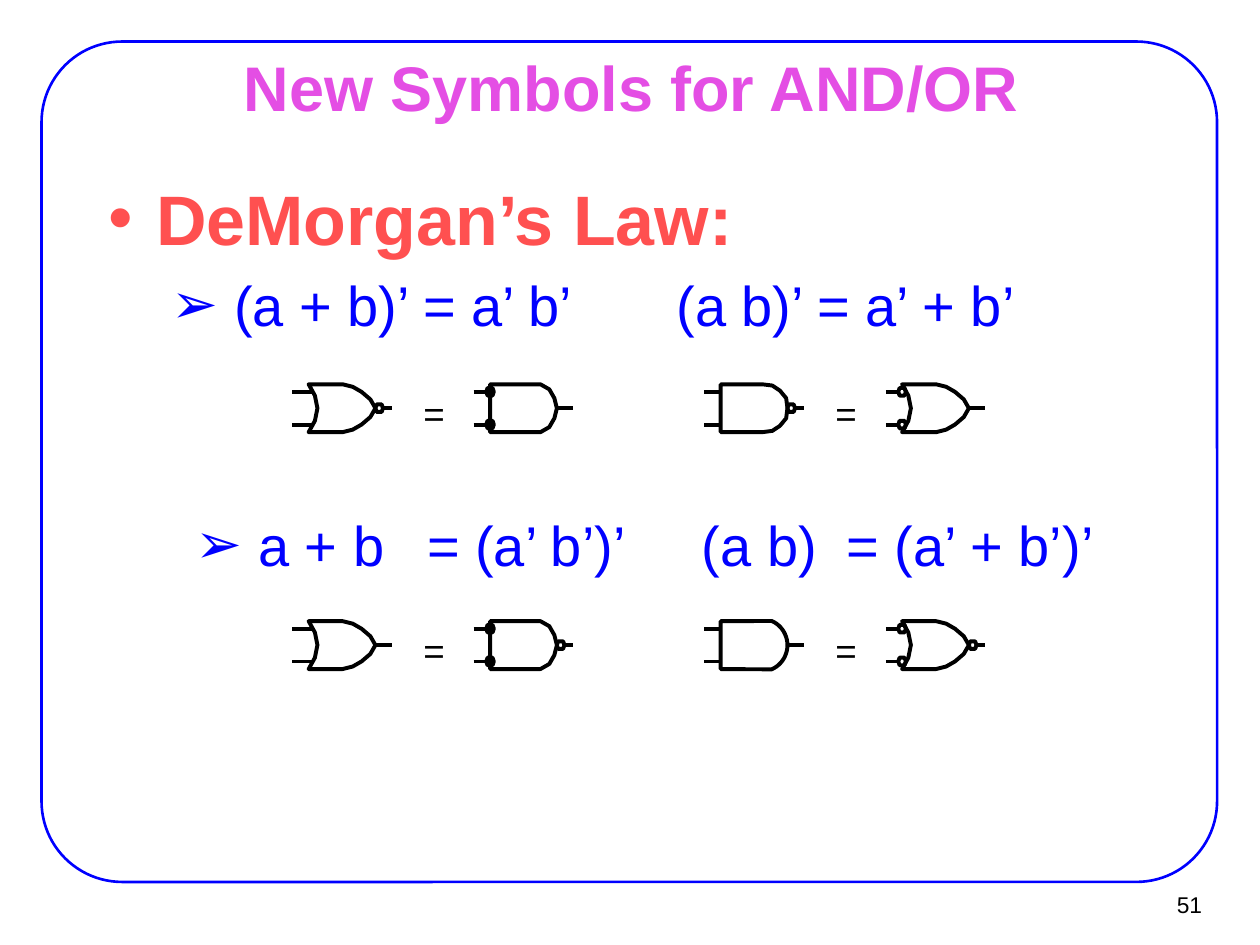
from math import cos, radians, sin

from lxml.etree import SubElement
from pptx import Presentation
from pptx.dml.color import RGBColor
from pptx.enum.shapes import MSO_CONNECTOR, MSO_SHAPE
from pptx.enum.text import MSO_ANCHOR, PP_ALIGN
from pptx.oxml.ns import qn
from pptx.util import Inches, Pt

COLORS = {"frame": "0000FF", "title": "E44EE4", "law": "FF5050",
          "formula": "0000FF", "ink": "000000"}


def write(paragraph, text, color, size, bold=False, bullet=None, indent=0, hanging=0, tabs=()):
    """Add one formatted run, with an optional bullet, indent and tab stops."""
    run = paragraph.add_run()
    run.text = text
    for name, value in {"name": "Arial", "size": Pt(size), "bold": bold}.items():
        setattr(run.font, name, value)
    run.font.color.rgb = RGBColor.from_string(COLORS[color])
    if bullet:
        paragraph.space_before = Pt(size * 0.2)
        properties = paragraph._p.get_or_add_pPr()
        properties.set("marL", str(Inches(indent)))
        properties.set("indent", str(Inches(-hanging)))
        SubElement(properties, qn("a:buFont"), typeface="Arial")
        SubElement(properties, qn("a:buChar"), char=bullet)
        if tabs:
            tab_list = SubElement(properties, qn("a:tabLst"))
            for position in tabs:
                SubElement(tab_list, qn("a:tab"), pos=str(Inches(position)), algn="l")


def draw_path(shapes, points, closed=False):
    """Draw a black unfilled line: a connector for two points, else a freeform."""
    points = [(Inches(x), Inches(y)) for x, y in points]
    if len(points) == 2:
        path = shapes.add_connector(MSO_CONNECTOR.STRAIGHT, *points[0], *points[1])
        SubElement(path._element.spPr, qn("a:effectLst"))
    else:
        builder = shapes.build_freeform(*points[0])
        builder.add_line_segments(points[1:], close=closed)
        path = builder.convert_to_shape()
        path.fill.background()
        path.shadow.inherit = False
    path.line.color.rgb = RGBColor.from_string(COLORS["ink"])
    path.line.width = Pt(2.25)


presentation = Presentation()
presentation.slide_width = Inches(10)
presentation.slide_height = Inches(7.5)
slide = presentation.slides.add_slide(presentation.slide_layouts[5])

frame = slide.shapes.add_shape(MSO_SHAPE.ROUNDED_RECTANGLE, Inches(0.33), Inches(0.33),
                               Inches(9.33), Inches(6.67))
frame.adjustments[0] = 0.096
frame.shadow.inherit = False
frame.fill.background()
frame.line.color.rgb = RGBColor.from_string(COLORS["frame"])
frame.line.width = Pt(1.5)

# Title, text blocks and page number
title = slide.shapes.title
laws = slide.shapes.add_textbox(0, 0, 0, 0)
inverted_laws = slide.shapes.add_textbox(0, 0, 0, 0)
page_number = slide.shapes.add_textbox(0, 0, 0, 0)
text_places = [
    (title, (0.76, 0.44, 8.5, 0.49), MSO_ANCHOR.MIDDLE),
    (laws, (0.75, 1.33, 8.5, 2.57), MSO_ANCHOR.TOP),
    (inverted_laws, (0.94, 3.99, 8.5, 0.79), MSO_ANCHOR.TOP),
    (page_number, (9.02, 6.99, 0.61, 0.37), MSO_ANCHOR.MIDDLE),
]
for shape, place, anchor in text_places:
    for name, value in zip(("left", "top", "width", "height"), place):
        setattr(shape, name, Inches(value))
    text_format = {"word_wrap": True, "vertical_anchor": anchor,
                   "margin_left": Inches(0.11), "margin_right": Inches(0.11),
                   "margin_top": Inches(0.06), "margin_bottom": Inches(0.06)}
    for name, value in text_format.items():
        setattr(shape.text_frame, name, value)

paragraph = title.text_frame.paragraphs[0]
paragraph.alignment = PP_ALIGN.CENTER
write(paragraph, "New Symbols for AND/OR", "title", 36, bold=True)

write(laws.text_frame.paragraphs[0], "DeMorgan’s Law:", "law", 40, bold=True,
      bullet="•", indent=0.38, hanging=0.38)
formulas = [
    (laws.text_frame.add_paragraph(), "(a + b)’ = a’ b’\t(a b)’ = a’ + b’", [4.51]),
    (inverted_laws.text_frame.paragraphs[0], "a + b\t= (a’ b’)’\t(a b)\t= (a’ + b’)’",
     [2.34, 4.52, 5.67]),
]
for paragraph, text, tabs in formulas:
    paragraph.level = 1
    write(paragraph, text, "formula", 32, bullet="➢", indent=1, hanging=0.5, tabs=tabs)

paragraph = page_number.text_frame.paragraphs[0]
paragraph.alignment = PP_ALIGN.RIGHT
page_number.text_frame.margin_right = Inches(0.09)
write(paragraph, "51", "ink", 13)

# Gate outlines, measured from the start of the input leads and the centre line
LOWER_FRONTS = {
    "or": [(0.4, 0.19), (0.48, 0.17), (0.55, 0.13), (0.62, 0.07)],
    "and": [(0.53, 0.19), (0.6, 0.15), (0.64, 0.08)],
    "wide and": [(0.46, 0.19), (0.54, 0.18), (0.6, 0.14), (0.65, 0.08)],
    "smooth and": [(0.45 + 0.21 * cos(radians(angle)), 0.21 * sin(radians(angle)))
                   for angle in range(66, 0, -6)],
}
OR_BACK = [(0.13, -0.19), (0.18, -0.1), (0.2, 0), (0.18, 0.1), (0.13, 0.19)]
AND_BACK = [(0.13, -0.19), (0.13, 0.19)]
BUBBLE = [(0, 0), (0.01, -0.03), (0.05, -0.03), (0.06, 0), (0.05, 0.03), (0.01, 0.03)]
TIP, END, INPUT_OFFSET = 0.66, 0.79, 0.13

# Each pair: left, centre line, then (kind, inverted inputs, inverted output) per gate
gate_pairs = [
    (2.32, 3.24, ("or", False, True), ("and", True, False)),
    (5.59, 3.24, ("wide and", False, True), ("or", True, False)),
    (5.59, 5.12, ("smooth and", False, False), ("or", True, True)),
    (2.32, 5.12, ("or", False, False), ("and", True, True)),
]
for pair_left, center, *gates in gate_pairs:
    group = slide.shapes.add_group_shape()
    for index, (kind, inverted_inputs, inverted_output) in enumerate(gates):
        left = pair_left + 1.44 * index
        lower = LOWER_FRONTS[kind]
        upper = [(x, -y) for x, y in reversed(lower)]
        back = OR_BACK if kind == "or" else AND_BACK
        paths = [(back + lower + [(TIP, 0)] + upper, True)]
        bubbles = []
        lead_end = 0.17 if kind == "or" else 0.13
        if inverted_inputs:
            lead_end = 0.1
            bubbles = [(lead_end, -INPUT_OFFSET), (lead_end, INPUT_OFFSET)]
        for y in (-INPUT_OFFSET, INPUT_OFFSET):
            paths.append(([(0, y), (lead_end if inverted_inputs else lead_end, y)], False))
        if inverted_output:
            bubbles.append((TIP, 0))
        paths.append(([(TIP + 0.06 * inverted_output, 0), (END, 0)], False))
        for bubble_x, bubble_y in bubbles:
            paths.append(([(bubble_x + x, bubble_y + y) for x, y in BUBBLE], True))
        for points, closed in paths:
            draw_path(group.shapes, [(left + x, center + y) for x, y in points], closed)

    equals = group.shapes.add_textbox(Inches(pair_left + 1.04), Inches(center - 0.14),
                                      Inches(0.17), Inches(0.35))
    equals.text_frame.word_wrap = False
    for side in ("left", "right", "top", "bottom"):
        setattr(equals.text_frame, f"margin_{side}", 0)
    write(equals.text_frame.paragraphs[0], "=", "ink", 21)

presentation.save("out.pptx")
